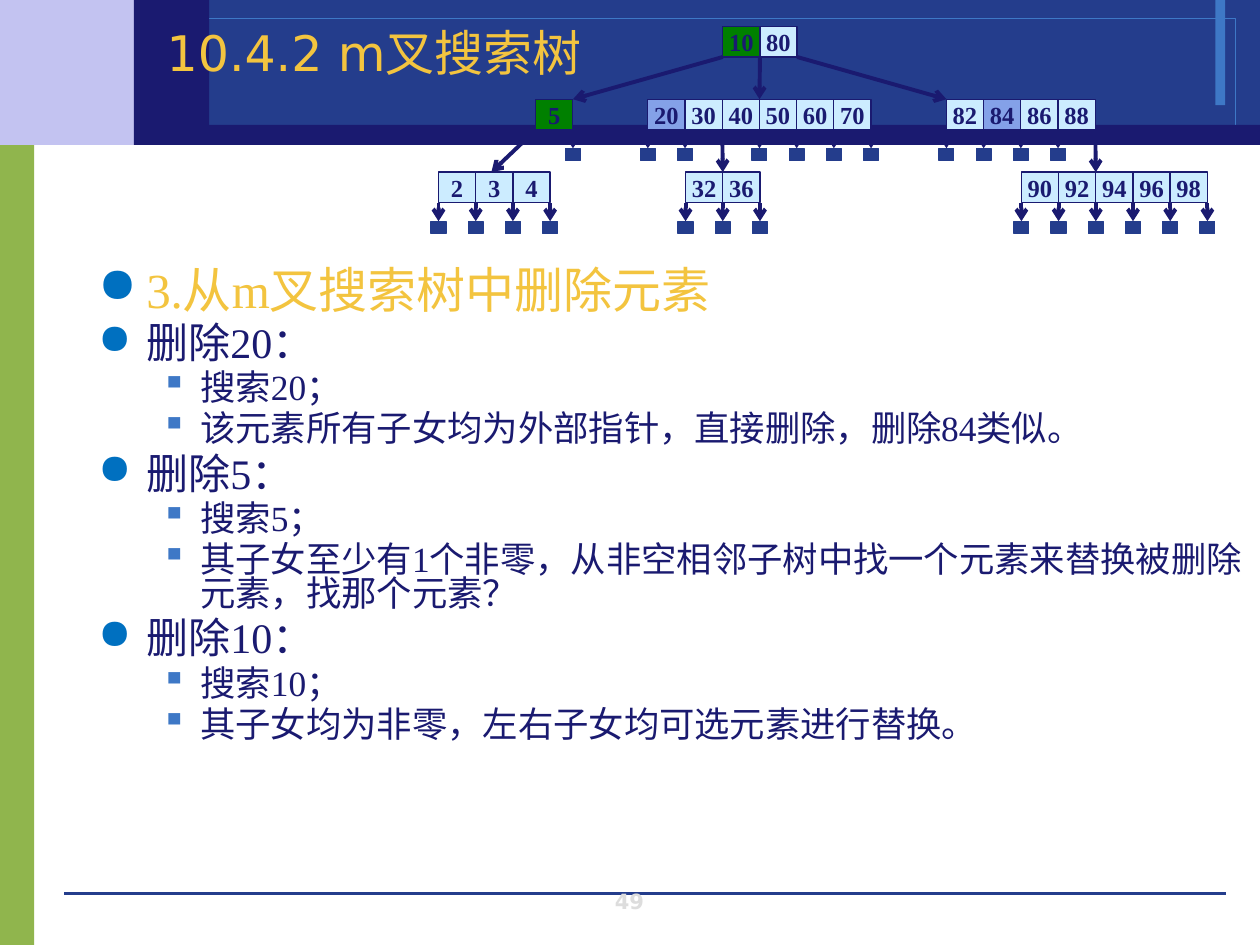
import pptx
import pptx.dml.color
import pptx.enum.shapes
import pptx.enum.text
import pptx.oxml.ns
import pptx.util
from lxml import etree

Cm, Pt = pptx.util.Cm, pptx.util.Pt
ALIGN = pptx.enum.text.PP_ALIGN
ANCHOR = pptx.enum.text.MSO_ANCHOR

NAVY, BLUE, SKY, GOLD = "1A1A70", "243D8C", "3E78C6", "F3C43F"
PALE, GREEN, PERIWINKLE = "CCECFF", "008000", "84A1E8"
SANS, SERIF = "DejaVu Sans", "Times New Roman"

PANELS = [
    (0, 2.71, 0.69, 16.34, "90B54D", None),
    (0, 0, 3.88, 2.92, "C3C3F1", None),
    (3.88, 0, 21.52, 2.92, BLUE, None),
    (24.5, 0, 0.2, 2.12, SKY, None),
    (3.02, 0.37, 21.89, 2.17, None, SKY),
    (3.3, 2.52, 22.1, 0.4, NAVY, None),
    (2.7, 0, 1.52, 2.92, NAVY, None),
]
TITLE = "10.4.2 m叉搜索树"
PAGE = "49"
OUTLINE = [
    (0, "3.从m叉搜索树中删除元素", 28, GOLD),
    (0, "删除20：", 24, NAVY),
    (1, "搜索20；", 20.2, NAVY),
    (1, "该元素所有子女均为外部指针，直接删除，删除84类似。", 20.2, NAVY),
    (0, "删除5：", 24, NAVY),
    (1, "搜索5；", 20.2, NAVY),
    (1, "其子女至少有1个非零，从非空相邻子树中找一个元素来替换被删除元素，找那个元素？", 20.2, NAVY),
    (0, "删除10：", 24, NAVY),
    (1, "搜索10；", 20.2, NAVY),
    (1, "其子女均为非零，左右子女均可选元素进行替换。", 20.2, NAVY),
]
LEVELS = [
    {"margin": 0.97, "hanging": 0.97, "bullet": "●", "bullet_color": "0070C0"},
    {"margin": 2.06, "hanging": 0.79, "bullet": "▪", "bullet_color": SKY},
]

# children: pointer index -> (child name, entry point measured in cells)
TREE = {
    "root": {"level": 0, "left": 14.57, "keys": [10, 80],
             "children": {0: ("five", 1), 1: ("middle", 3), 2: ("right", 0)}},
    "five": {"level": 1, "left": 10.8, "keys": [5], "children": {0: ("low", 1.42)}},
    "middle": {"level": 1, "left": 13.06, "keys": [20, 30, 40, 50, 60, 70],
               "children": {2: ("thirties", 1)}},
    "right": {"level": 1, "left": 19.08, "keys": [82, 84, 86, 88],
              "children": {4: ("nineties", 2)}},
    "low": {"level": 2, "left": 8.84, "keys": [2, 3, 4], "children": {}},
    "thirties": {"level": 2, "left": 13.82, "keys": [32, 36], "children": {}},
    "nineties": {"level": 2, "left": 20.59, "keys": [90, 92, 94, 96, 98], "children": {}},
}
KEY_FILLS = {10: GREEN, 5: GREEN, 20: PERIWINKLE, 84: PERIWINKLE}
CELL_WIDTH, CELL_HEIGHT = 0.75, 0.62
TREE_TOP, LEVEL_STEP = 0.53, 1.47
LEAF_WIDTH, LEAF_HEIGHT, LEAF_DROP = 0.3, 0.25, 0.99


def rgb(value):
    return pptx.dml.color.RGBColor.from_string(value)


def add_xml(parent, tag, **attributes):
    return etree.SubElement(parent, pptx.oxml.ns.qn(tag), attributes)


def write(paragraph, text, size, color, font=SERIF, bold=False, align=ALIGN.CENTER):
    paragraph.alignment = align
    run = paragraph.add_run()
    run.text = text
    run.font.size, run.font.name, run.font.bold = Pt(size), font, bold
    run.font.color.rgb = rgb(color)


def place(shape, left, top, width, height):
    shape.left, shape.top, shape.width, shape.height = map(Cm, (left, top, width, height))


def add_box(shapes, left, top, width, height, fill=None, line=None, line_width=0.0):
    box = shapes.add_shape(pptx.enum.shapes.MSO_SHAPE.RECTANGLE,
                           *map(Cm, (left, top, width, height)))
    box.shadow.inherit = False
    if fill:
        box.fill.solid()
        box.fill.fore_color.rgb = rgb(fill)
    else:
        box.fill.background()
    if line:
        box.line.color.rgb = rgb(line)
        box.line.width = Pt(line_width)
    else:
        box.line.fill.background()
    return box


def add_line(shapes, start, end, color, width, arrow=False):
    connector = shapes.add_connector(pptx.enum.shapes.MSO_CONNECTOR.STRAIGHT,
                                     *map(Cm, (*start, *end)))
    connector.line.color.rgb = rgb(color)
    connector.line.width = Pt(width)
    properties = connector.element.spPr
    if arrow:
        add_xml(properties.find(pptx.oxml.ns.qn("a:ln")), "a:tailEnd", type="arrow")
    add_xml(properties, "a:effectLst")


def add_text_box(slide, left, top, width, height):
    frame = slide.shapes.add_textbox(*map(Cm, (left, top, width, height))).text_frame
    frame.word_wrap = True
    return frame


def add_title(slide):
    title = slide.shapes.title
    title.element.getparent().append(title.element)
    place(title, 2.7, 0.53, 9.68, 1.24)
    frame = title.text_frame
    frame.vertical_anchor = ANCHOR.BOTTOM
    frame.word_wrap = False
    write(frame.paragraphs[0], TITLE, 28, GOLD, font=SANS)


def add_outline(slide):
    frame = add_text_box(slide, 1.73, 5.33, 23.67, 13)
    for index, (level, text, size, color) in enumerate(OUTLINE):
        paragraph = frame.add_paragraph() if index else frame.paragraphs[0]
        style = LEVELS[level]
        paragraph.level = level
        paragraph.line_spacing = 0.8
        paragraph.space_before = Pt(size * 0.2)
        write(paragraph, text, size, color, align=ALIGN.LEFT)
        properties = paragraph._p.get_or_add_pPr()
        properties.set("marL", str(Cm(style["margin"])))
        properties.set("indent", str(-Cm(style["hanging"])))
        bullet_color = add_xml(properties, "a:buClr")
        add_xml(bullet_color, "a:srgbClr", val=style["bullet_color"])
        add_xml(properties, "a:buChar", char=style["bullet"])


def add_tree(slide):
    shapes = slide.shapes.add_group_shape().shapes
    for node in TREE.values():
        left, top = node["left"], TREE_TOP + node["level"] * LEVEL_STEP
        for index, key in enumerate(node["keys"]):
            cell = add_box(shapes, left + index * CELL_WIDTH, top, CELL_WIDTH, CELL_HEIGHT,
                           KEY_FILLS.get(key, PALE), NAVY, 0.75)
            cell.text_frame.word_wrap = False
            cell.text_frame.vertical_anchor = ANCHOR.MIDDLE
            write(cell.text_frame.paragraphs[0], str(key), 14, NAVY, bold=True)
        for pointer in range(len(node["keys"]) + 1):
            x = left + pointer * CELL_WIDTH
            if pointer in node["children"]:
                name, entry = node["children"][pointer]
                end = (TREE[name]["left"] + entry * CELL_WIDTH, top + LEVEL_STEP)
            else:
                end = (x, top + LEAF_DROP)
                add_box(shapes, x - LEAF_WIDTH / 2, end[1], LEAF_WIDTH, LEAF_HEIGHT,
                        BLUE, BLUE, 0.75)
            add_line(shapes, (x, top + CELL_HEIGHT), end, NAVY, 2.25, arrow=True)


def main():
    presentation = pptx.Presentation()
    presentation.slide_width, presentation.slide_height = Cm(25.4), Cm(19.05)
    slide = presentation.slides.add_slide(presentation.slide_layouts[5])
    for panel in PANELS:
        add_box(slide.shapes, *panel)
    add_line(slide.shapes, (1.3, 18.01), (24.71, 18.01), BLUE, 0)
    page_frame = add_text_box(slide, 9.73, 17.91, 5.92, 0.64)
    page_frame.vertical_anchor = ANCHOR.BOTTOM
    write(page_frame.paragraphs[0], PAGE, 12, "DDDDDD", font=SANS, bold=True)
    add_title(slide)
    add_outline(slide)
    add_tree(slide)
    presentation.save("out.pptx")


if __name__ == "__main__":
    main()
